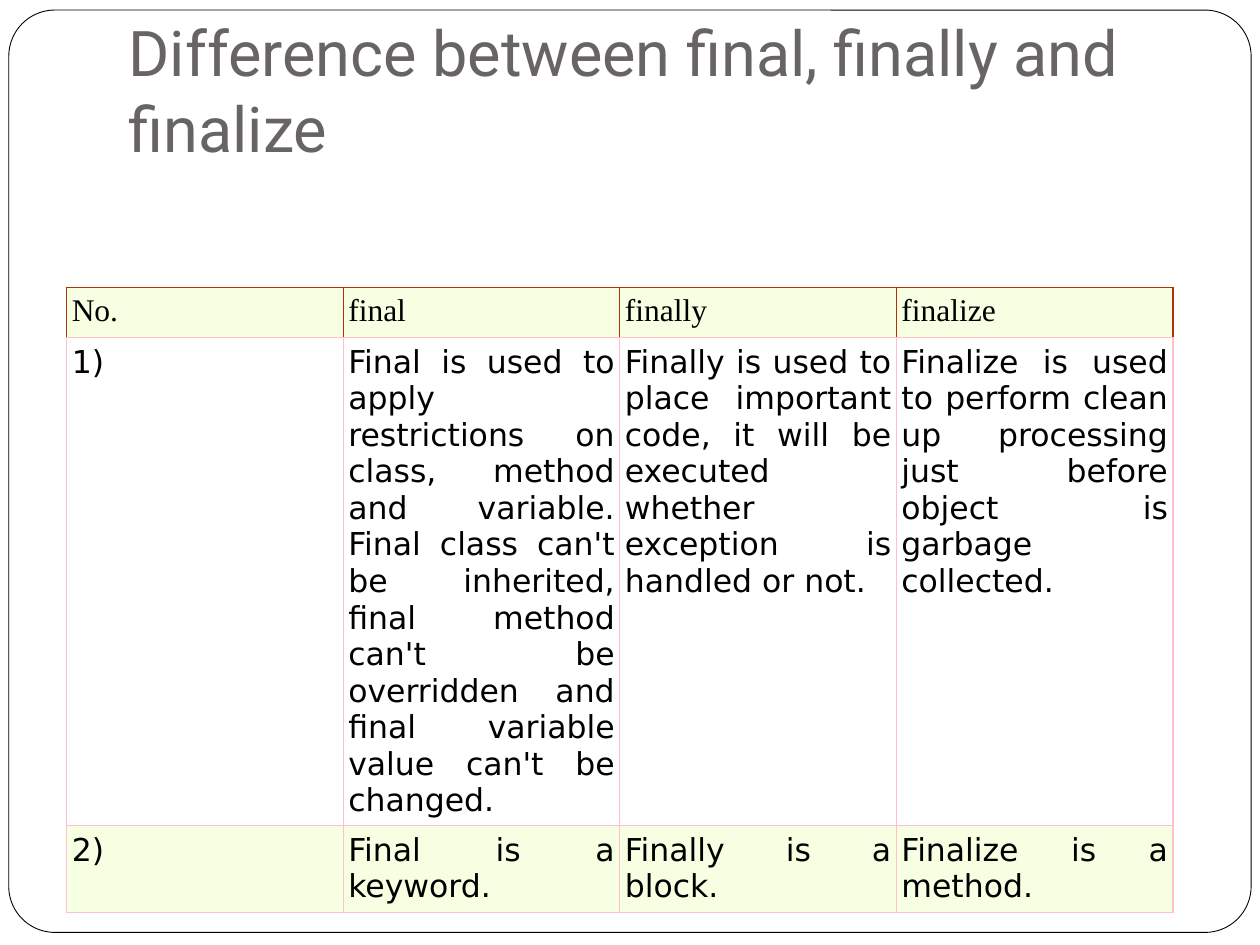
from lxml import etree
from pptx import Presentation
from pptx.dml.color import RGBColor
from pptx.enum import shapes, text
from pptx.oxml import ns
from pptx.util import Inches, Pt

COLORS = {
    "paper": "FFFFFF",
    "ink": "000000",
    "title": "696464",
    "band": "F6FFE1",
    "header_edge": "B03205",
    "grid": "FFC0CB",
}
COMPARISON = [
    ["No.", "final", "finally", "finalize"],
    [
        "1)",
        "Final is used to apply restrictions on class, method and variable. "
        "Final class can't be inherited, final method can't be overridden "
        "and final variable value can't be changed.",
        "Finally is used to place important code, it will be executed "
        "whether exception is handled or not.",
        "Finalize is used to perform clean up processing just before "
        "object is garbage collected.",
    ],
    ["2)", "Final is a keyword.", "Finally is a block.", "Finalize is a method."],
]
ROW_HEIGHTS = [0.4, 3.06, 0.69]
TABLE_WIDTH = 8.78


def color(name):
    """Return the named palette colour."""
    return RGBColor.from_string(COLORS[name])


def write(frame, words, *, font, size, ink="ink", align=text.PP_ALIGN.LEFT):
    """Put formatted words into a text frame."""
    paragraph = frame.paragraphs[0]
    paragraph.alignment = align
    run = paragraph.add_run()
    run.text = words
    run.font.name = font
    run.font.size = Pt(size)
    run.font.color.rgb = color(ink)


def add_border_frame(slide):
    """Draw the rounded slide border behind everything else."""
    border = slide.shapes.add_shape(
        shapes.MSO_SHAPE.ROUNDED_RECTANGLE,
        Inches(0.07), Inches(0.08), Inches(9.86), Inches(7.32),
    )
    border.adjustments[0] = 0.05
    border.shadow.inherit = False
    border.fill.solid()
    border.fill.fore_color.rgb = color("paper")
    border.line.color.rgb = color("ink")
    border.line.width = Pt(0.5)
    slide.shapes._spTree.insert(2, border._element)


def add_title(slide, words):
    """Place the heading, raised by a deep bottom inset."""
    heading = slide.shapes.title
    heading.left, heading.top = Inches(0.92), Inches(0.75)
    heading.width, heading.height = Inches(8.5), Inches(1.25)
    frame = heading.text_frame
    frame.word_wrap = True
    frame.auto_size = text.MSO_AUTO_SIZE.NONE
    frame.vertical_anchor = text.MSO_ANCHOR.BOTTOM
    frame.margin_left = frame.margin_right = Inches(0.1)
    frame.margin_top, frame.margin_bottom = Inches(0.05), Inches(0.69)
    write(frame, words, font="Roboto", size=36, ink="title")


def set_borders(cell, **edges):
    """Line the cell edges with the colours named for each side."""
    properties = cell._tc.get_or_add_tcPr()
    for side, name in edges.items():
        line = etree.SubElement(properties, ns.qn(f"a:ln{side}"), w=str(Pt(0.75)))
        fill = etree.SubElement(line, ns.qn("a:solidFill"))
        etree.SubElement(fill, ns.qn("a:srgbClr"), val=COLORS[name])


def fill_cell(cell, words, row_index):
    """Format one cell by its row: header, plain or banded."""
    is_header = row_index == 0
    edge = "header_edge" if is_header else "grid"
    set_borders(cell, L=edge, R=edge, T=edge, B="grid")
    cell.fill.solid()
    cell.fill.fore_color.rgb = color("paper" if row_index % 2 else "band")
    cell.margin_left = cell.margin_right = Inches(0.04)
    cell.margin_top = cell.margin_bottom = Inches(0.05)
    write(
        cell.text_frame, words, size=18,
        font="Times New Roman" if is_header else "DejaVu Sans",
        align=text.PP_ALIGN.LEFT if is_header else text.PP_ALIGN.JUSTIFY,
    )


def add_comparison(slide):
    """Build the comparison table with equal columns."""
    grid = slide.shapes.add_table(
        len(COMPARISON), len(COMPARISON[0]),
        Inches(0.53), Inches(2.28), Inches(TABLE_WIDTH), Inches(sum(ROW_HEIGHTS)),
    ).table
    grid.first_row = grid.horz_banding = False
    for row_index, entries in enumerate(COMPARISON):
        grid.rows[row_index].height = Inches(ROW_HEIGHTS[row_index])
        for column_index, words in enumerate(entries):
            fill_cell(grid.cell(row_index, column_index), words, row_index)


def main():
    """Create the slide and save it."""
    deck = Presentation()
    deck.slide_width, deck.slide_height = Inches(10), Inches(7.5)
    slide = deck.slides.add_slide(deck.slide_layouts[5])
    add_border_frame(slide)
    add_title(slide, "Difference between final, finally and finalize")
    add_comparison(slide)
    deck.save("out.pptx")


if __name__ == "__main__":
    main()
